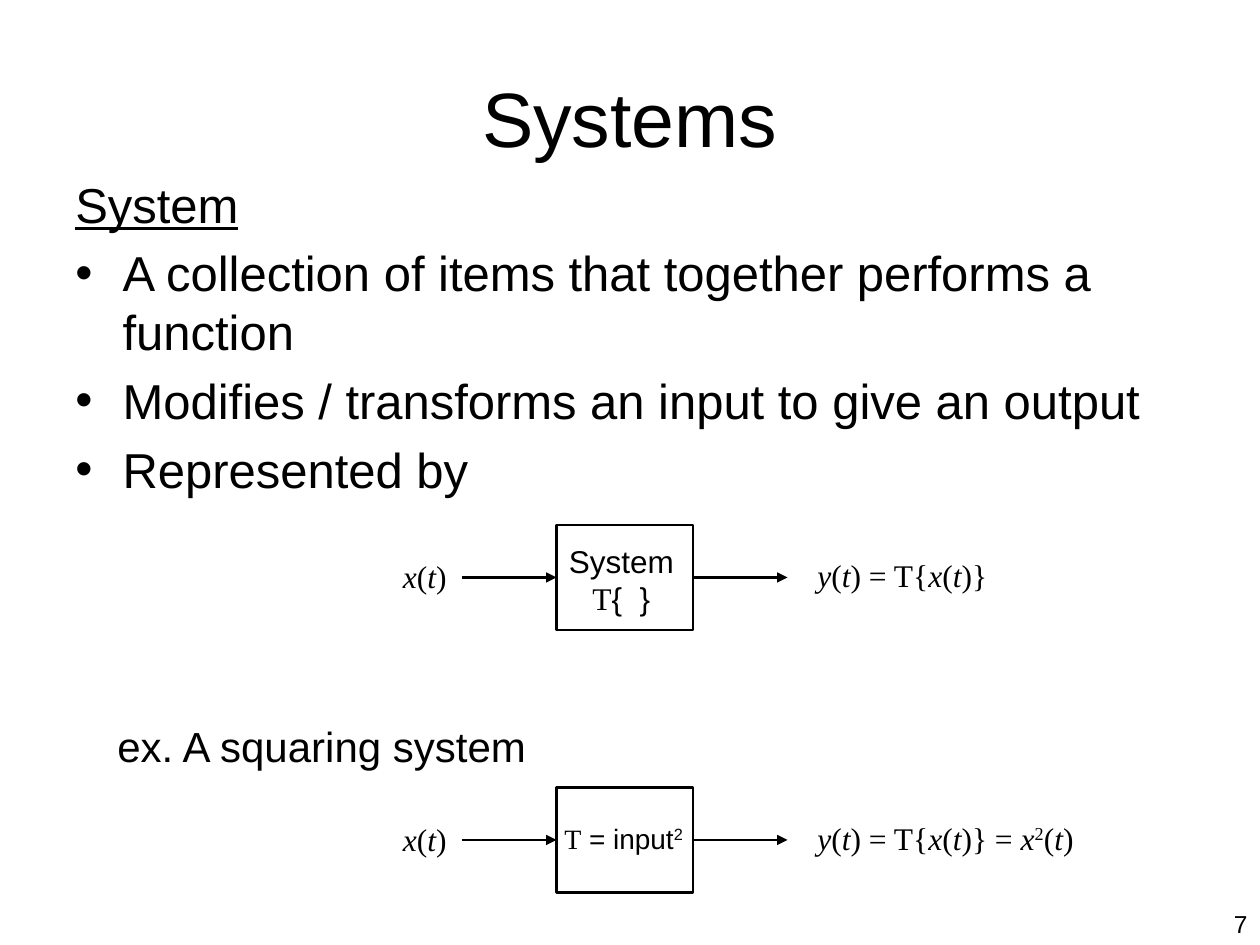
"""Build the slide on systems with two block diagrams."""
import pptx
import pptx.util
import pptx.dml.color
import pptx.enum.shapes
import pptx.enum.text
import pptx.oxml.ns
import lxml.etree

Pt = pptx.util.Pt
ALIGN = pptx.enum.text.PP_ALIGN
ANCHOR = pptx.enum.text.MSO_ANCHOR
FIT = pptx.enum.text.MSO_AUTO_SIZE
RECT = pptx.enum.shapes.MSO_SHAPE.RECTANGLE
LINE = pptx.enum.shapes.MSO_CONNECTOR.STRAIGHT
SIDES = {"l": ALIGN.LEFT, "c": ALIGN.CENTER, "r": ALIGN.RIGHT}


def color(code):
    return pptx.dml.color.RGBColor.from_string(code)


def add(parent, tag, **attrs):
    return lxml.etree.SubElement(parent, pptx.oxml.ns.qn(tag), attrs)


class Board:
    ink = "000000"
    sans = "Arial"
    serif = "Times New Roman"
    weight = 1.5

    def __init__(self, slide):
        self.slide = slide

    def runs(self, para, runs, size):
        for words, marks in runs:
            run = para.add_run()
            run.text = words
            font = run.font
            font.size = Pt(size)
            font.name = self.serif if "s" in marks else self.sans
            font.color.rgb = color(self.ink)
            font.italic = "i" in marks
            font.underline = "u" in marks
            if "^" in marks:
                run._r.get_or_add_rPr().set("baseline", "30000")

    def text(self, left, top, width, height, lines, size, side="l", wrap=False, middle=False):
        box = self.slide.shapes.add_textbox(Pt(left), Pt(top), Pt(width), Pt(height))
        frame = box.text_frame
        frame.word_wrap = wrap
        frame.auto_size = FIT.NONE if wrap else FIT.SHAPE_TO_FIT_TEXT
        frame.vertical_anchor = ANCHOR.MIDDLE if middle else ANCHOR.TOP
        for row, runs in enumerate(lines):
            para = frame.add_paragraph() if row else frame.paragraphs[0]
            para.alignment = SIDES[side]
            self.runs(para, runs, size)
        return frame

    def list(self, left, top, width, height, head, items, size):
        lines = [[(head, "u")]] + [[(item, "")] for item in items]
        frame = self.text(left, top, width, height, lines, size, wrap=True)
        for row, para in enumerate(frame.paragraphs):
            para.space_before = Pt(size * 0.2)
            props = para._p.get_or_add_pPr()
            props.set("marL", str(int(Pt(27))))
            props.set("indent", str(int(Pt(-27))))
            if row:
                add(props, "a:buFont", typeface=self.sans)
                add(props, "a:buChar", char="•")

    def box(self, left, top, width, height):
        rect = self.slide.shapes.add_shape(RECT, Pt(left), Pt(top), Pt(width), Pt(height))
        rect.shadow.inherit = False
        rect.fill.background()
        rect.line.color.rgb = color(self.ink)
        rect.line.width = Pt(self.weight)

    def arrow(self, left, top, length):
        link = self.slide.shapes.add_connector(LINE, Pt(left), Pt(top), Pt(left + length), Pt(top))
        link.line.color.rgb = color(self.ink)
        link.line.width = Pt(self.weight)
        props = link._element.spPr
        add(props.find(pptx.oxml.ns.qn("a:ln")), "a:tailEnd", type="triangle")
        add(props, "a:effectLst")

    def chain(self, top, result, width):
        self.box(318, top, 78, 60)
        for left in (264, 396):
            self.arrow(left, top + 30, 54)
        self.text(223.2, top + 15, 40.3, 28.8, [INPUT], 18)
        self.text(460, top + 14.2, width, 28.8, [result], 18)


INPUT = [("x", "si"), ("(", "s"), ("t", "si"), (")", "s")]
OUTPUT = [("y", "si"), ("(", "s"), ("t", "si"), (") = T{", "s")] + INPUT
SHORT = OUTPUT + [("}", "s")]
SQUARE = OUTPUT + [("} = ", "s"), ("x", "si"), ("2", "s^")] + INPUT[1:]

deck = pptx.Presentation()
deck.slide_width, deck.slide_height = Pt(720), Pt(540)
board = Board(deck.slides.add_slide(deck.slide_layouts[6]))

board.text(672, 516, 48, 24, [[("7", "")]], 14, "r", wrap=True)
board.text(36, 21.6, 648, 90, [[("Systems", "")]], 44, "c", wrap=True, middle=True)
board.list(36, 96, 648, 234, "System", [
    "A collection of items that together performs a function",
    "Modifies / transforms an input to give an output",
    "Represented by",
], 28)

board.chain(300, SHORT, 114.5)
board.text(318, 306, 74.2, 50.4, [[("System", "")], [("T", "s"), ("{  }", "")]], 18, "c")

board.text(60, 408, 250.6, 36, [[("ex. A squaring system", "")]], 24)
board.chain(450, SQUARE, 166.3)
board.text(314.6, 465.8, 83.5, 26.6, [[("T", "s"), (" = input", ""), ("2", "^")]], 16, "c")

deck.save("out.pptx")
